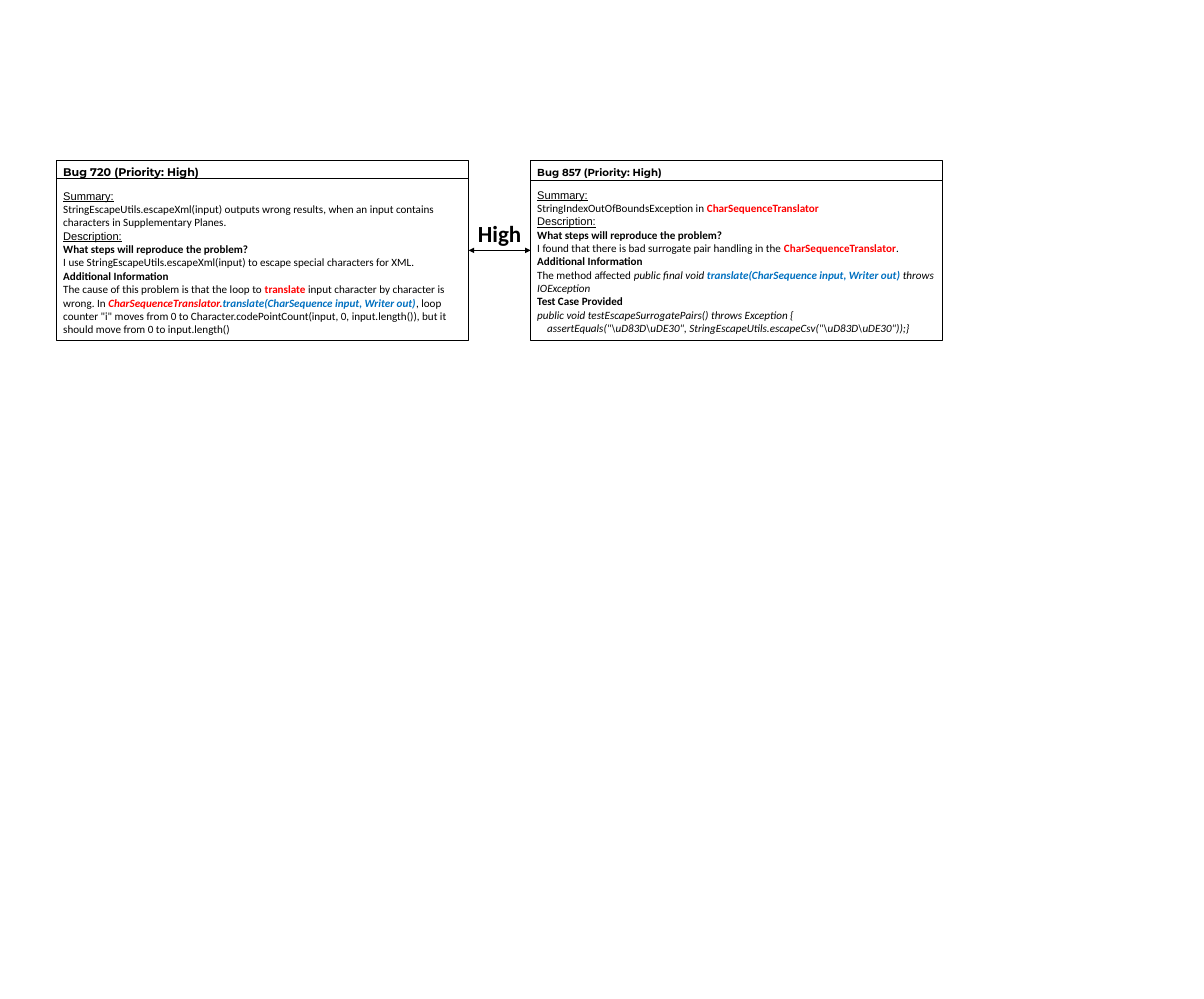
from dataclasses import dataclass, field

from lxml.etree import SubElement
from pptx import Presentation
from pptx.dml.color import RGBColor
from pptx.enum.shapes import MSO_CONNECTOR, MSO_SHAPE
from pptx.enum.text import MSO_ANCHOR, PP_ALIGN
from pptx.oxml.ns import qn
from pptx.util import Inches, Pt


@dataclass(frozen=True)
class Theme:
    ink: str = "000000"
    paper: str = "FFFFFF"
    red: str = "FF0000"
    blue: str = "0070C0"
    body_font: str = "Calibri"
    label_font: str = "Arial"
    header_font: str = "Montserrat"
    body_size: float = 12
    rating_size: float = 24.9
    border: float = 1
    arrow: float = 1.5


THEME = Theme()

# Character formats that differ from plain body text
STYLES: dict[str, dict] = {
    "plain": {},
    "header": {"name": THEME.header_font, "bold": True},
    "label": {"name": THEME.label_font, "underline": True},
    "bold": {"bold": True},
    "code": {"italic": True},
    "red": {"bold": True, "color": THEME.red},
    "red code": {"bold": True, "italic": True, "color": THEME.red},
    "blue code": {"bold": True, "italic": True, "color": THEME.blue},
    "rating": {"bold": True, "size": THEME.rating_size},
}


@dataclass(frozen=True)
class Line:
    """One paragraph, as (text, style) pieces."""
    pieces: list[tuple[str, str]]
    indent: float = 0


def line(text: str, style: str = "plain", indent: float = 0) -> Line:
    return Line([(text, style)], indent)


@dataclass(frozen=True)
class BugCard:
    header: str
    left: float
    header_size: float
    header_gap: float
    rule_top: float
    summary: Line
    description: list[Line] = field(default_factory=list)


CARD_TOP, CARD_WIDTH, CARD_HEIGHT = 2.41, 6.18, 2.69
STEPS = line("What steps will reproduce the problem?", "bold")
ADDITIONAL = line("Additional Information", "bold")

CARDS = [
    BugCard(
        "Bug 720 (Priority: High)", 0.85, 12, 11.8, 2.68,
        line("StringEscapeUtils.escapeXml(input) outputs wrong results, when an input "
             "contains characters in Supplementary Planes."),
        [
            STEPS,
            line("I use StringEscapeUtils.escapeXml(input) to escape special characters for XML."),
            ADDITIONAL,
            Line([
                ("The cause of this problem is that the loop to ", "plain"),
                ("translate", "red"),
                (" input character by character is wrong. In ", "plain"),
                ("CharSequenceTranslator.", "red code"),
                ("translate(CharSequence input, Writer out)", "blue code"),
                (', loop counter "i" moves from 0 to Character.codePointCount(input, 0, '
                 "input.length()), but it should move from 0 to input.length()", "plain"),
            ]),
        ],
    ),
    BugCard(
        "Bug 857 (Priority: High)", 7.96, 11, 10.5, 2.7,
        Line([("StringIndexOutOfBoundsException in ", "plain"),
              ("CharSequenceTranslator", "red")]),
        [
            STEPS,
            Line([("I found that there is bad surrogate pair handling in the ", "plain"),
                  ("CharSequenceTranslator", "red"), (".", "plain")]),
            ADDITIONAL,
            Line([("The method affected ", "plain"), ("public final void ", "code"),
                  ("translate(CharSequence input, Writer out) ", "blue code"),
                  ("throws IOException", "code")]),
            line("Test Case Provided", "bold"),
            line("public void testEscapeSurrogatePairs() throws Exception {", "code"),
            line(r'assertEquals("\uD83D\uDE30", StringEscapeUtils.escapeCsv("\uD83D\uDE30"));}',
                 "code", indent=0.15),
        ],
    ),
]


def write_line(paragraph, content: Line) -> None:
    paragraph.alignment = PP_ALIGN.LEFT
    if content.indent:
        paragraph._p.get_or_add_pPr().set("marL", str(Inches(content.indent)))
    for text, style in content.pieces:
        run = paragraph.add_run()
        run.text = text
        values = {"name": THEME.body_font, "size": THEME.body_size,
                  "color": THEME.ink, **STYLES[style]}
        run.font.color.rgb = RGBColor.from_string(values.pop("color"))
        values["size"] = Pt(values["size"])
        for attribute, value in values.items():
            setattr(run.font, attribute, value)


def write_lines(text_frame, lines: list[Line]) -> None:
    text_frame.word_wrap = True
    for index, content in enumerate(lines):
        paragraph = text_frame.add_paragraph() if index else text_frame.paragraphs[0]
        write_line(paragraph, content)


def add_line(shapes, left: float, right: float, top: float, width: float):
    connector = shapes.add_connector(
        MSO_CONNECTOR.STRAIGHT, Inches(left), Inches(top), Inches(right), Inches(top))
    connector.line.color.rgb = RGBColor.from_string(THEME.ink)
    connector.line.width = Pt(width)
    SubElement(connector._element.spPr, qn("a:effectLst"))
    return connector


def add_card(slide, card: BugCard):
    group = slide.shapes.add_group_shape()
    box = group.shapes.add_shape(
        MSO_SHAPE.RECTANGLE, Inches(card.left), Inches(CARD_TOP),
        Inches(CARD_WIDTH), Inches(CARD_HEIGHT))
    box.shadow.inherit = False
    box.fill.solid()
    box.fill.fore_color.rgb = RGBColor.from_string(THEME.paper)
    box.line.color.rgb = RGBColor.from_string(THEME.ink)
    box.line.width = Pt(THEME.border)

    text_frame = box.text_frame
    text_frame.vertical_anchor = MSO_ANCHOR.MIDDLE
    write_lines(text_frame, [
        line(card.header, "header"), line("Summary:", "label"), card.summary,
        line("Description:", "label"), *card.description])
    header, summary_label = text_frame.paragraphs[:2]
    header.runs[0].font.size = Pt(card.header_size)
    summary_label.space_before = Pt(card.header_gap)

    add_line(group.shapes, card.left, card.left + CARD_WIDTH, card.rule_top, THEME.border)
    return box


def main() -> None:
    presentation = Presentation()
    presentation.slide_width = Inches(18.06)
    presentation.slide_height = Inches(14.98)
    slide = presentation.slides.add_slide(presentation.slide_layouts[6])

    # Bug reports
    first_box, second_box = [add_card(slide, card) for card in CARDS]

    # Two-way arrow between the reports
    arrow = add_line(slide.shapes, CARDS[0].left + CARD_WIDTH, CARDS[1].left,
                     CARD_TOP + CARD_HEIGHT / 2, THEME.arrow)
    arrow.begin_connect(first_box, 3)
    arrow.end_connect(second_box, 1)
    for end in ("a:headEnd", "a:tailEnd"):
        SubElement(arrow.line._get_or_add_ln(), qn(end), type="triangle")

    # Similarity rating
    rating = slide.shapes.add_textbox(Inches(7.07), Inches(3.24), Inches(1.09), Inches(0.52))
    write_lines(rating.text_frame, [line("High", "rating")])

    presentation.save("out.pptx")


if __name__ == "__main__":
    main()
